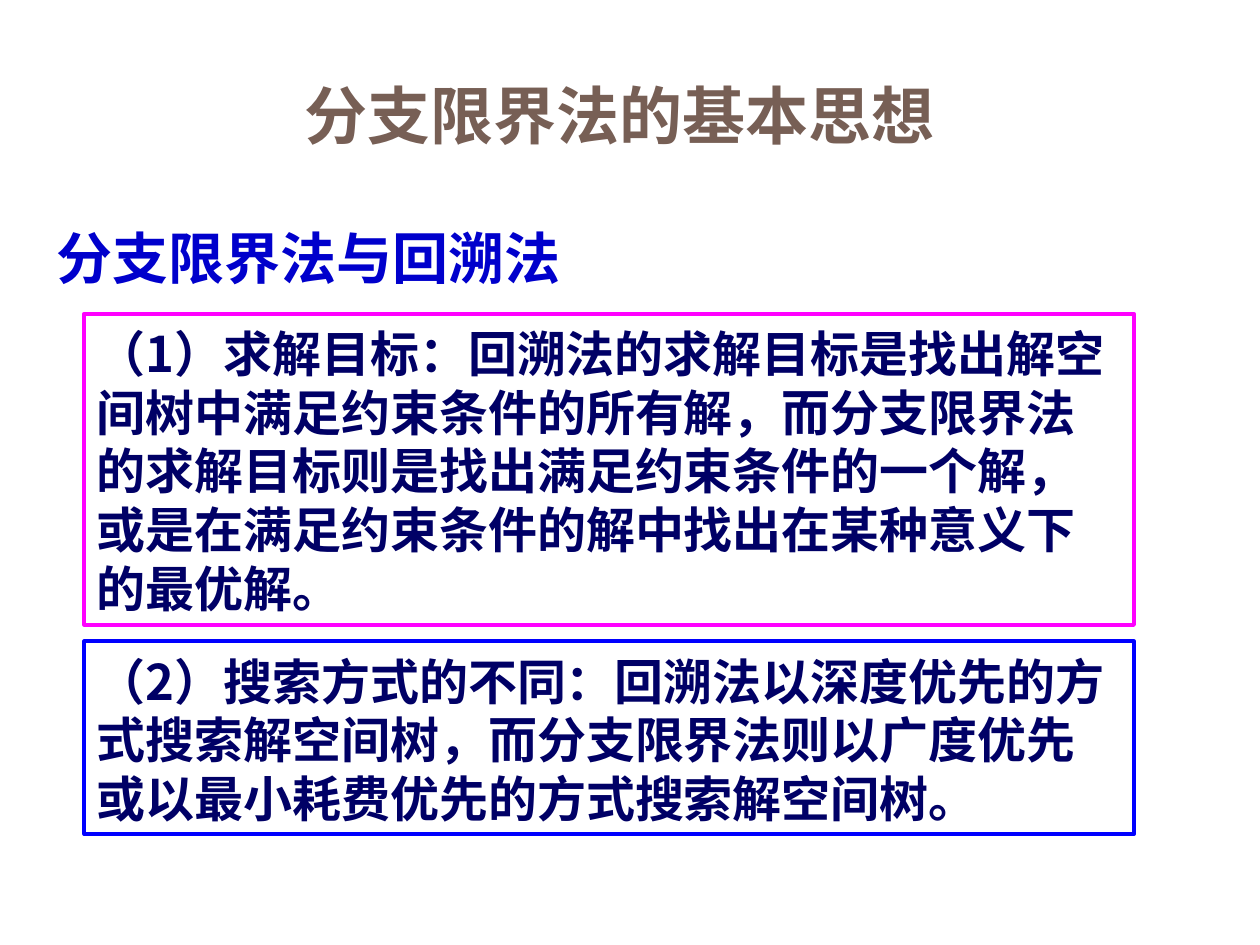
"""Build a slide comparing branch and bound with backtracking."""
import pptx
import pptx.dml.color
import pptx.enum.shapes
import pptx.enum.text
import pptx.oxml.ns
import pptx.util
import lxml.etree

HUES = {"title": "775F55", "head": "0000CC", "body": "000066",
        "goal": "FF00FF", "search": "0000FF"}


class Deck:
    def __init__(self, font):
        self.font = font
        self.file = pptx.Presentation()
        self.file.slide_width = pptx.util.Inches(10)
        self.file.slide_height = pptx.util.Inches(7.5)
        self.slide = self.file.slides.add_slide(self.file.slide_layouts[5])

    def hue(self, name):
        return pptx.dml.color.RGBColor.from_string(HUES[name])

    def label(self, shape, text, size, hue, align, anchor, lead=None):
        frame = shape.text_frame
        frame.word_wrap = True
        frame.auto_size = pptx.enum.text.MSO_AUTO_SIZE.NONE
        frame.vertical_anchor = anchor
        para = frame.paragraphs[0]
        para.alignment = align
        if lead:
            frame.margin_top = pptx.util.Inches(0.08)
            para.line_spacing = pptx.util.Pt(lead)
        run = para.add_run()
        run.text = text
        run.font.name = self.font
        run.font.size = pptx.util.Pt(size)
        run.font.bold = True
        run.font.color.rgb = self.hue(hue)
        tag = pptx.oxml.ns.qn("a:ea")
        east = lxml.etree.SubElement(run.font._element, tag)
        east.set("typeface", self.font)

    def title(self, text, *place):
        shape = self.slide.shapes.title
        shape.left, shape.top, shape.width, shape.height = map(
            pptx.util.Inches, place)
        self.label(shape, text, 36, "title", pptx.enum.text.PP_ALIGN.CENTER,
                   pptx.enum.text.MSO_ANCHOR.MIDDLE)

    def head(self, text, *place):
        shape = self.slide.shapes.add_textbox(*map(pptx.util.Inches, place))
        self.label(shape, text, 32, "head", pptx.enum.text.PP_ALIGN.LEFT,
                   pptx.enum.text.MSO_ANCHOR.TOP, 38)

    def panel(self, text, hue, *place):
        kind = pptx.enum.shapes.MSO_SHAPE.RECTANGLE
        shape = self.slide.shapes.add_shape(
            kind, *map(pptx.util.Inches, place))
        shape.shadow.inherit = False
        shape.fill.background()
        shape.line.color.rgb = self.hue(hue)
        shape.line.width = pptx.util.Pt(2.25)
        self.label(shape, text, 28, "body", pptx.enum.text.PP_ALIGN.LEFT,
                   pptx.enum.text.MSO_ANCHOR.TOP, 33.5)


def main():
    deck = Deck("Noto Sans CJK SC")
    deck.title("分支限界法的基本思想", 0.67, 0.28, 8.5, 1.25)
    deck.head("分支限界法与回溯法", 0.35, 1.7, 7.75, 0.63)
    deck.panel("（1）求解目标：回溯法的求解目标是找出解空间树中满足约束条件的所有解，"
               "而分支限界法的求解目标则是找出满足约束条件的一个解，"
               "或是在满足约束条件的解中找出在某种意义下的最优解。",
               "goal", 0.67, 2.49, 8.33, 2.47)
    deck.panel("（2）搜索方式的不同：回溯法以深度优先的方式搜索解空间树，"
               "而分支限界法则以广度优先或以最小耗费优先的方式搜索解空间树。",
               "search", 0.67, 5.09, 8.33, 1.53)
    deck.file.save("out.pptx")


if __name__ == "__main__":
    main()
